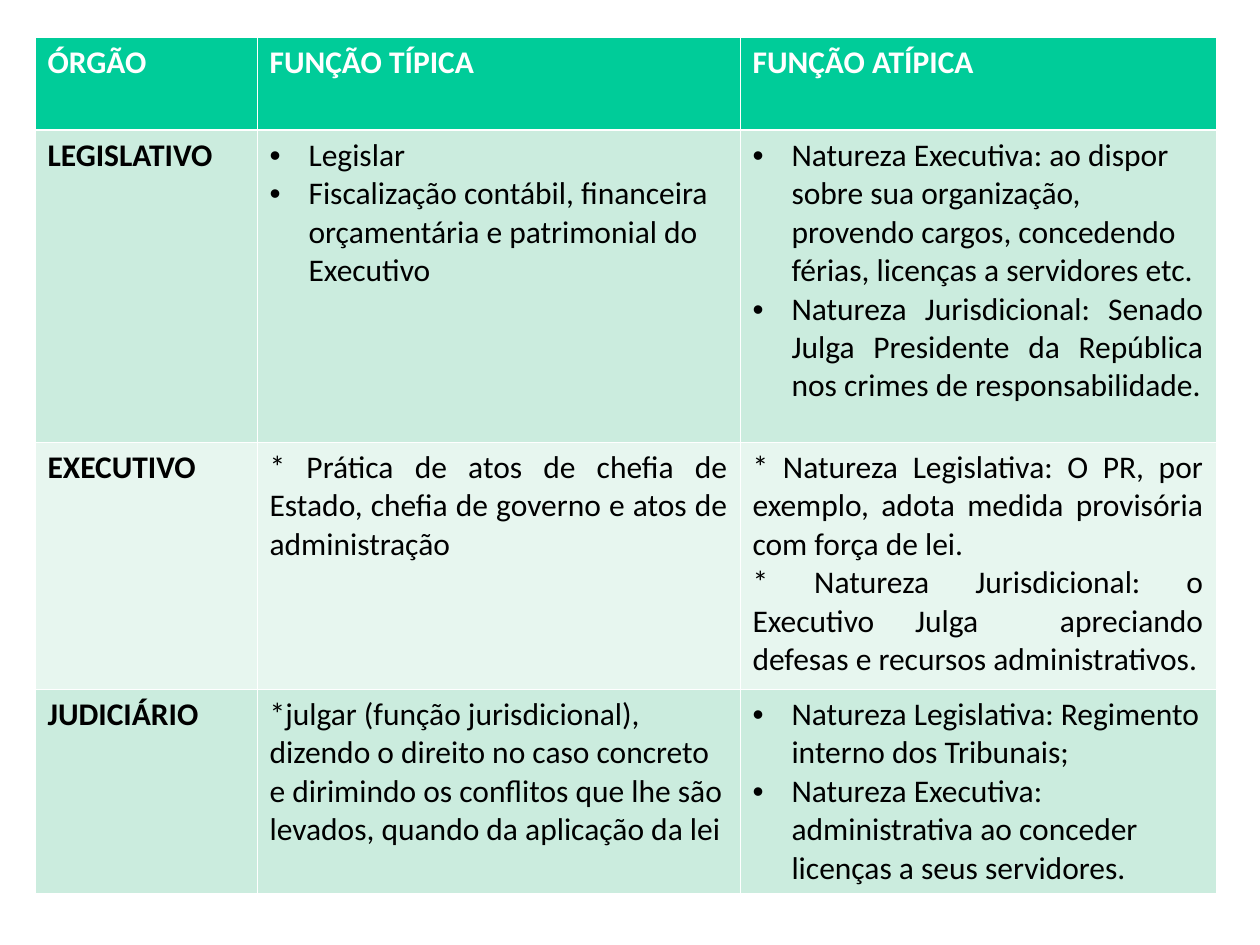
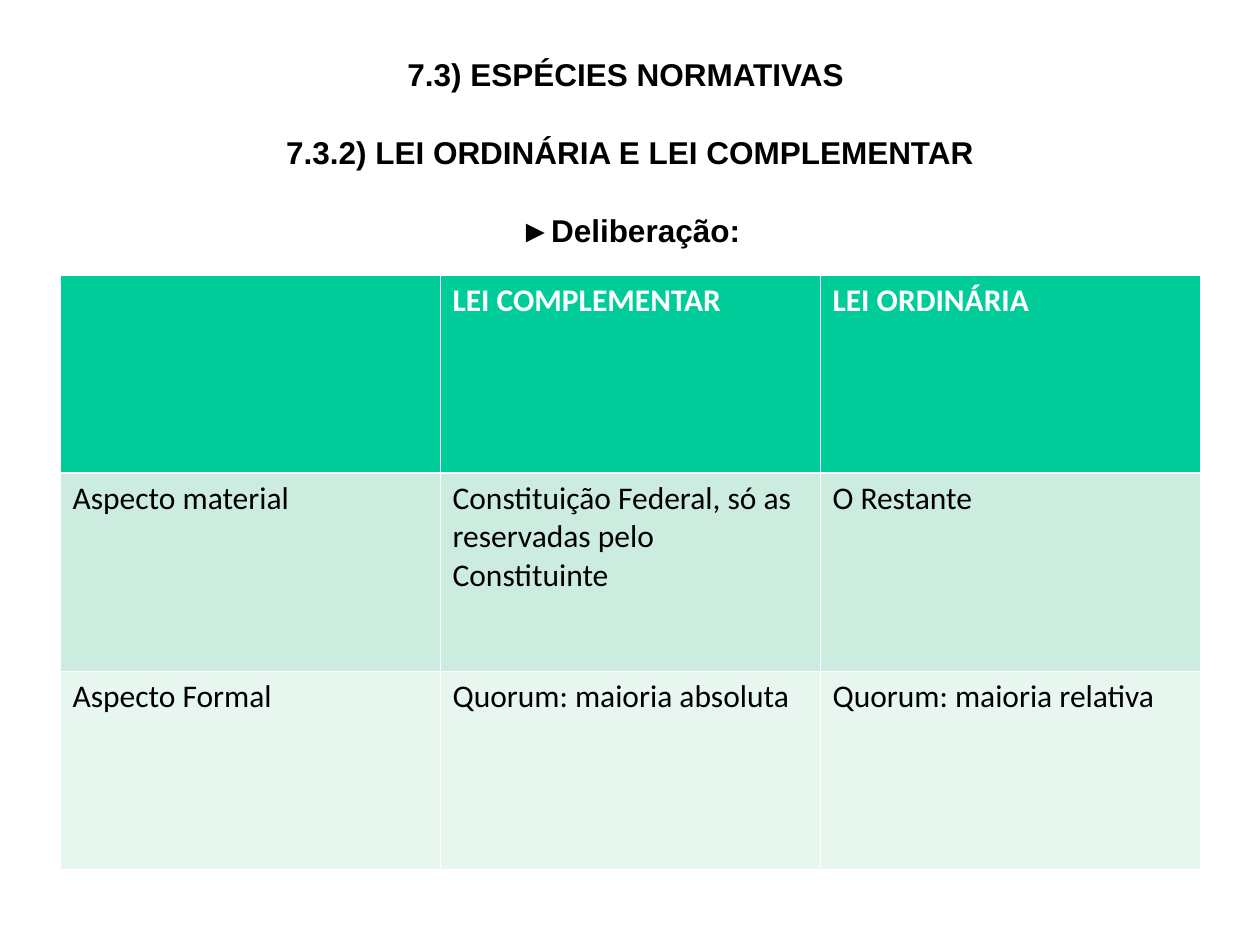
"""Two slides of constitutional law tables: functions of the powers and kinds of law."""
from dataclasses import dataclass

import lxml.etree
import pptx
import pptx.dml.color
import pptx.enum.text
import pptx.oxml.ns
import pptx.util

WHITE = pptx.dml.color.RGBColor(0xFF, 0xFF, 0xFF)
BLACK = pptx.dml.color.RGBColor(0x00, 0x00, 0x00)
GREEN = pptx.dml.color.RGBColor(0x00, 0xCC, 0x99)
BANDS = (
    pptx.dml.color.RGBColor(0xCB, 0xEC, 0xDE),
    pptx.dml.color.RGBColor(0xE7, 0xF6, 0xEF),
)
TEXT_SIZE = pptx.util.Pt(18)
THIN, THICK = 0.45, 1.47
BULLET_INDENT = 39
ALIGN = pptx.enum.text.PP_ALIGN


@dataclass
class Item:
    text: str
    bold: bool = False
    bullet: bool = False
    justified: bool = False


POWERS = {
    "place": (35, 37),
    "columns": (222, 483, 476),
    "rows": (93, 312, 247, 202),
    "header": ("ÓRGÃO", "FUNÇÃO TÍPICA", "FUNÇÃO ATÍPICA"),
    "body": [
        [
            [Item("LEGISLATIVO", bold=True)],
            [
                Item("Legislar", bullet=True),
                Item("Fiscalização contábil, financeira orçamentária e patrimonial do Executivo",
                     bullet=True),
            ],
            [
                Item("Natureza Executiva: ao dispor sobre sua organização, provendo cargos, "
                     "concedendo férias, licenças a servidores etc.", bullet=True),
                Item("Natureza Jurisdicional: Senado Julga Presidente da República nos crimes "
                     "de responsabilidade.", bullet=True, justified=True),
            ],
        ],
        [
            [Item("EXECUTIVO", bold=True)],
            [Item("* Prática de atos de chefia de Estado, chefia de governo e atos de "
                  "administração", justified=True)],
            [
                Item("* Natureza Legislativa: O PR, por exemplo, adota medida provisória com "
                     "força de lei.", justified=True),
                Item("* Natureza Jurisdicional: o Executivo Julga  apreciando defesas e "
                     "recursos administrativos.", justified=True),
            ],
        ],
        [
            [Item("JUDICIÁRIO", bold=True)],
            [Item("*julgar (função jurisdicional), dizendo o direito no caso concreto e "
                  "dirimindo os conflitos que lhe são levados, quando da aplicação da lei")],
            [
                Item("Natureza Legislativa: Regimento interno dos Tribunais;", bullet=True),
                Item("Natureza Executiva: administrativa ao conceder licenças a seus "
                     "servidores.", bullet=True),
            ],
        ],
    ],
}

LAWS = {
    "place": (60, 275),
    "columns": (380,) * 3,
    "rows": (198,) * 3,
    "header": ("", "LEI COMPLEMENTAR", "LEI ORDINÁRIA"),
    "body": [
        [
            [Item("Aspecto material")],
            [Item("Constituição Federal, só as reservadas pelo Constituinte")],
            [Item("O Restante")],
        ],
        [
            [Item("Aspecto Formal")],
            [Item("Quorum: maioria absoluta")],
            [Item("Quorum: maioria relativa")],
        ],
    ],
}

HEADINGS = (
    "7.3) ESPÉCIES NORMATIVAS ",
    "7.3.2) LEI ORDINÁRIA E LEI COMPLEMENTAR",
    "►Deliberação:",
)


def px(length):
    return round(length * 914400 / 126)


def add_xml(parent, tag, **attributes):
    return lxml.etree.SubElement(parent, pptx.oxml.ns.qn(tag), attributes)


def set_font(paragraph, name, color, bold):
    font = paragraph.font
    font.name, font.size, font.bold = name, TEXT_SIZE, bold
    font.color.rgb = color


def add_bullet(paragraph):
    properties = paragraph._p.get_or_add_pPr()
    properties.set("marL", str(px(BULLET_INDENT)))
    properties.set("indent", str(-px(BULLET_INDENT)))
    add_xml(properties, "a:buFont", typeface="Arial")
    add_xml(properties, "a:buChar", char="•")


def add_borders(cell, top, bottom):
    properties = cell._tc.get_or_add_tcPr()
    for side, width in zip("LRTB", (THIN, THIN, top, bottom)):
        line = add_xml(properties, f"a:ln{side}", w=str(pptx.util.Pt(width)))
        add_xml(add_xml(line, "a:solidFill"), "a:srgbClr", val=str(WHITE))


def fill_cell(cell, items, row):
    is_header = row == 0
    add_borders(cell, THICK if row == 1 else THIN, THICK if is_header else THIN)
    cell.fill.solid()
    cell.fill.fore_color.rgb = GREEN if is_header else BANDS[(row - 1) % 2]
    frame = cell.text_frame
    for index, item in enumerate(items):
        paragraph = frame.add_paragraph() if index else frame.paragraphs[0]
        paragraph.text = item.text
        paragraph.alignment = ALIGN.JUSTIFY if item.justified else ALIGN.LEFT
        if item.bullet:
            add_bullet(paragraph)
        set_font(paragraph, "Calibri", WHITE if is_header else BLACK, item.bold)


def add_comparison(page, content):
    columns, rows = content["columns"], content["rows"]
    box = (*content["place"], sum(columns), sum(rows))
    table = page.shapes.add_table(len(rows), len(columns), *map(px, box)).table
    for column, width in zip(table.columns, columns):
        column.width = px(width)
    for row, height in zip(table.rows, rows):
        row.height = px(height)
    header = [[Item(title, bold=True)] for title in content["header"]]
    for row, cells in enumerate([header, *content["body"]]):
        for column, items in enumerate(cells):
            fill_cell(table.cell(row, column), items, row)


def add_headings(page):
    box = page.shapes.add_textbox(*map(px, (60, 45, 1140, 315)))
    frame = box.text_frame
    frame.word_wrap = True
    frame.margin_top = px(10)
    for index, heading in enumerate(HEADINGS):
        paragraph = frame.add_paragraph() if index else frame.paragraphs[0]
        paragraph.text = heading
        paragraph.alignment = ALIGN.CENTER
        if index:
            paragraph.space_before = pptx.util.Pt(23)
        set_font(paragraph, "Arial", BLACK, True)


def main():
    deck = pptx.Presentation()
    deck.slide_width, deck.slide_height = px(1260), px(945)
    blank = deck.slide_layouts[6]
    add_comparison(deck.slides.add_slide(blank), POWERS)
    laws_page = deck.slides.add_slide(blank)
    add_headings(laws_page)
    add_comparison(laws_page, LAWS)
    deck.save("out.pptx")


if __name__ == "__main__":
    main()
